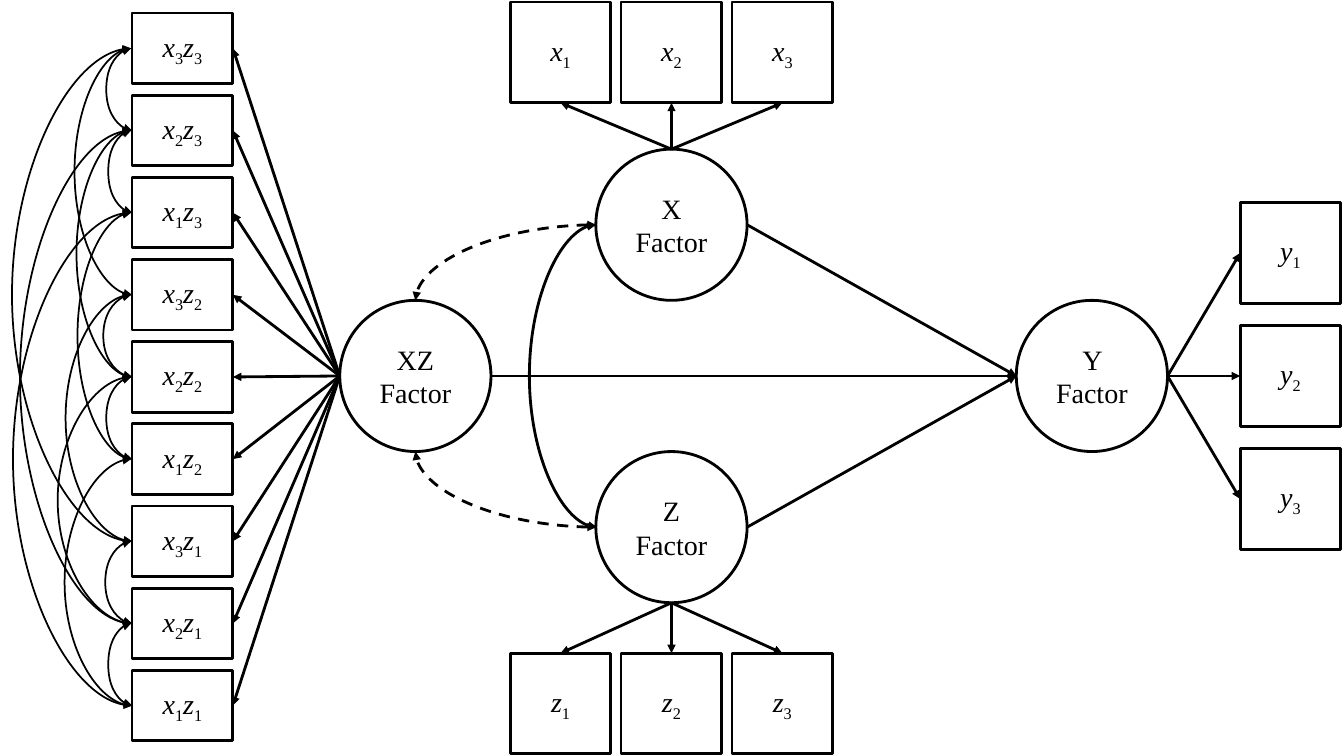
from pptx import Presentation
from pptx import util as u
from pptx.dml.color import RGBColor
from pptx.enum import dml, shapes, text
from pptx.oxml.ns import qn
from lxml import etree

INK = {"line": "000000", "fill": "FFFFFF"}
FONT = "Times New Roman"


def write(frame, label, size=20, font=FONT, color=INK["line"], math=False):
    frame.word_wrap = True
    frame.vertical_anchor = text.MSO_ANCHOR.MIDDLE
    para = frame.paragraphs[0]
    para.alignment = text.PP_ALIGN.CENTER
    for part in label if math else [label]:
        run = para.add_run()
        run.text = part
        run.font.size = u.Pt(size)
        run.font.name = font
        run.font.color.rgb = RGBColor.from_string(color)
        if math:
            run.font.italic = part.isalpha()
            if part.isdigit():
                run.font._element.set("baseline", "-25000")


class Diagram:
    def __init__(self, slide):
        self.slide = slide
        self.ink = RGBColor.from_string(INK["line"])
        self.fill = RGBColor.from_string(INK["fill"])

    def node(self, kind, label, x, y, w, h, math):
        node = self.slide.shapes.add_shape(
            kind, u.Inches(x), u.Inches(y), u.Inches(w), u.Inches(h))
        node.shadow.inherit = False
        node.fill.solid()
        node.fill.fore_color.rgb = self.fill
        node.line.color.rgb = self.ink
        node.line.width = u.Pt(2)
        write(node.text_frame, label, math=math)
        return node

    def box(self, label, x, y, h=1):
        return self.node(shapes.MSO_SHAPE.RECTANGLE, label, x, y, 1, h, True)

    def factor(self, name, x, y):
        return self.node(shapes.MSO_SHAPE.OVAL, f"{name} Factor",
                         x, y, 1.5, 1.5, False)

    def link(self, kind, start, end, width, ends):
        link = self.slide.shapes.add_connector(
            kind, *[u.Inches(v) for v in (*start, *end)])
        link.line.color.rgb = self.ink
        link.line.width = u.Pt(width)
        line = link.line._get_or_add_ln()
        for tag in ends:
            etree.SubElement(line, qn(f"a:{tag}"), type="triangle")
        etree.SubElement(link._element.spPr, qn("a:effectLst"))
        return link

    def arrow(self, start, end, box=None, side=0):
        link = self.link(shapes.MSO_CONNECTOR.STRAIGHT, start, end, 2,
                         ["tailEnd"])
        if box is not None:
            link.end_connect(box, side)

    def curve(self, start, end, width):
        return self.link(shapes.MSO_CONNECTOR.CURVE, start, end, width,
                         ["headEnd", "tailEnd"])

    def bow(self, x, top, low, peak, width=1.25):
        link = self.curve((x, top), (x + 0.01, low), width)
        geom = link._element.spPr.find(qn("a:prstGeom"))
        guides = geom.find(qn("a:avLst"))
        if guides is None:
            guides = etree.SubElement(geom, qn("a:avLst"))
        bend = round((peak - x) / 0.01 * 100000)
        etree.SubElement(guides, qn("a:gd"), name="adj1", fmla=f"val {bend}")

    def dashed(self, start, end):
        link = self.curve(start, end, 2)
        geom = link._element.spPr.find(qn("a:prstGeom"))
        geom.set("prst", "curvedConnector2")
        link.line.dash_style = dml.MSO_LINE.DASH


def main():
    deck = Presentation()
    deck.slide_width, deck.slide_height = u.Inches(13.33), u.Inches(7.5)
    art = Diagram(deck.slides.add_slide(deck.slide_layouts[6]))

    mid = 3.73
    x_mid, z_mid = mid - 1.5, mid + 1.5
    for name, x, y in (("XZ", 3.37, mid), ("X", 5.91, x_mid),
                       ("Z", 5.91, z_mid), ("Y", 10.08, mid)):
        art.factor(name, x, y - 0.75)

    for i in range(3):
        left = 5.06 + 1.1 * i
        box = art.box(f"x{i + 1}", left, 0.02)
        art.arrow((6.66, 1.48), (left + 0.5, 1.02), box, 2)
        box = art.box(f"z{i + 1}", left, 6.48)
        art.arrow((6.66, 5.98), (left + 0.5, 6.48), box, 0)
        top = 2.01 + 1.22 * i
        box = art.box(f"y{i + 1}", 12.3, top)
        art.arrow((11.58, mid), (12.3, top + 0.5), box, 1)

    rows = []
    pairs = [(a, b) for b in (3, 2, 1) for a in (3, 2, 1)]
    for i, (a, b) in enumerate(pairs):
        top = 0.13 + 0.815 * i
        rows.append(top + 0.35)
        box = art.box(f"x{a}z{b}", 1.31, top, 0.7)
        art.arrow((3.37, mid), (2.31, rows[i]), box, 3)

    for x, y in ((7.41, x_mid), (7.41, z_mid), (4.87, mid)):
        art.arrow((x, y), (10.08, mid))

    art.bow(5.91, x_mid, z_mid, 5.24, 2)
    art.dashed((5.91, x_mid), (4.12, mid - 0.75))
    art.dashed((5.91, z_mid), (4.12, mid + 0.75))

    peaks = {
        1: {0: 1.05, 1: 1.07, 3: 1.02, 4: 1.05, 6: 1.04, 7: 1.07},
        3: {0: 0.73, 1: 0.75, 2: 0.76, 3: 0.64, 4: 0.56, 5: 0.63},
        6: {0: 0.1, 1: 0.18, 2: 0.11},
    }
    for step, bows in peaks.items():
        for i, peak in bows.items():
            art.bow(1.3, rows[i], rows[i + step], peak)

    deck.save("out.pptx")


if __name__ == "__main__":
    main()
